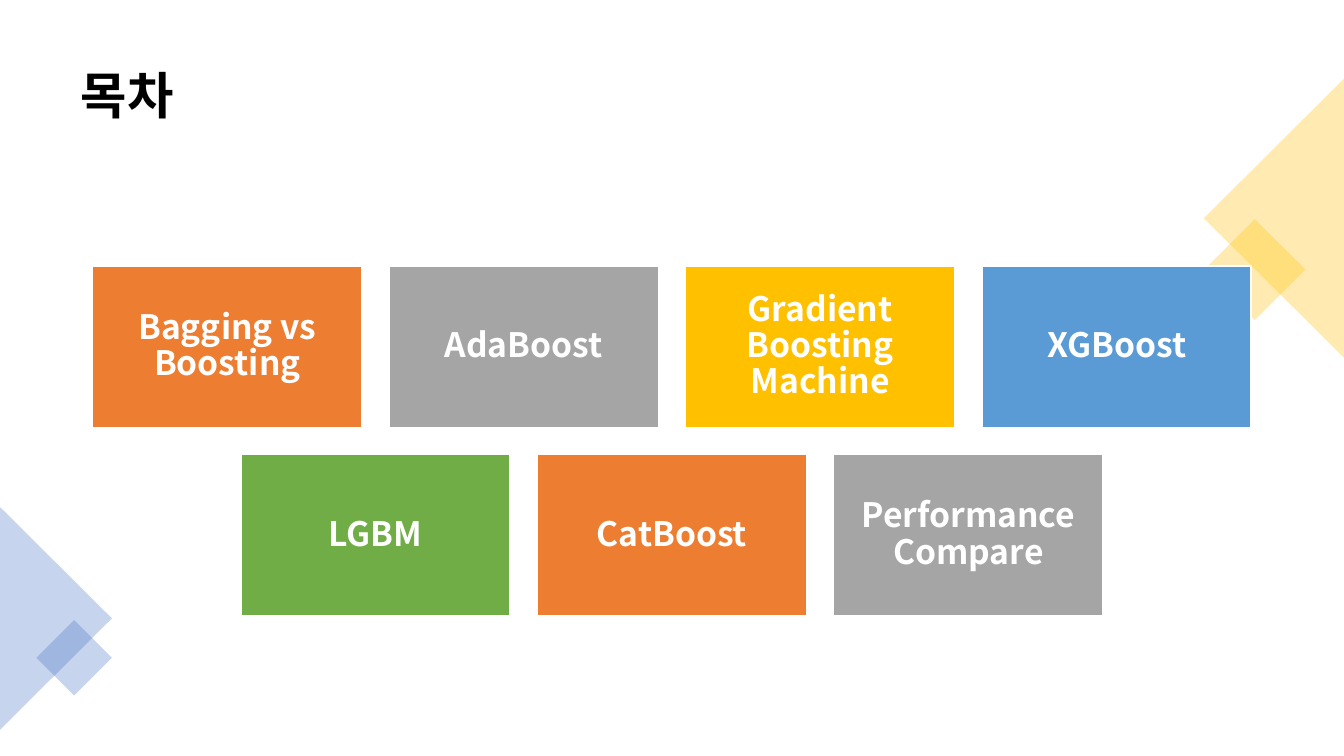
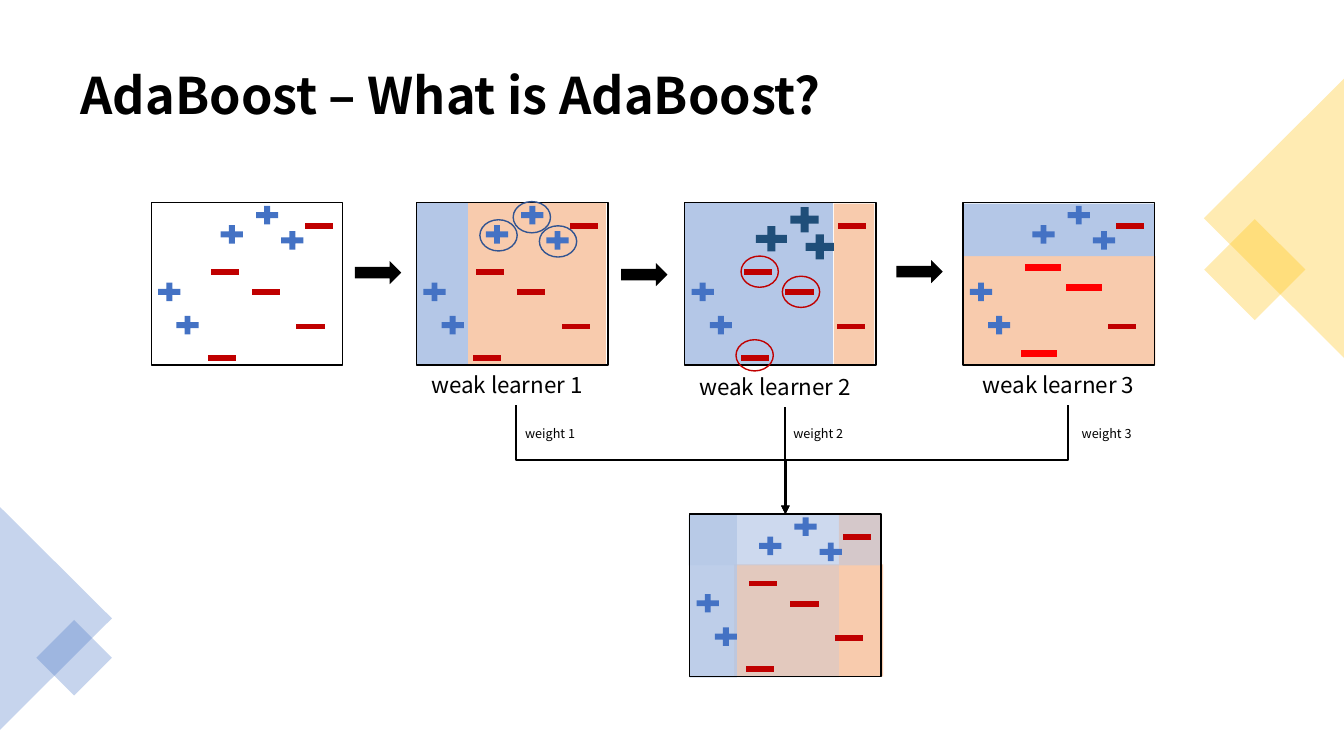
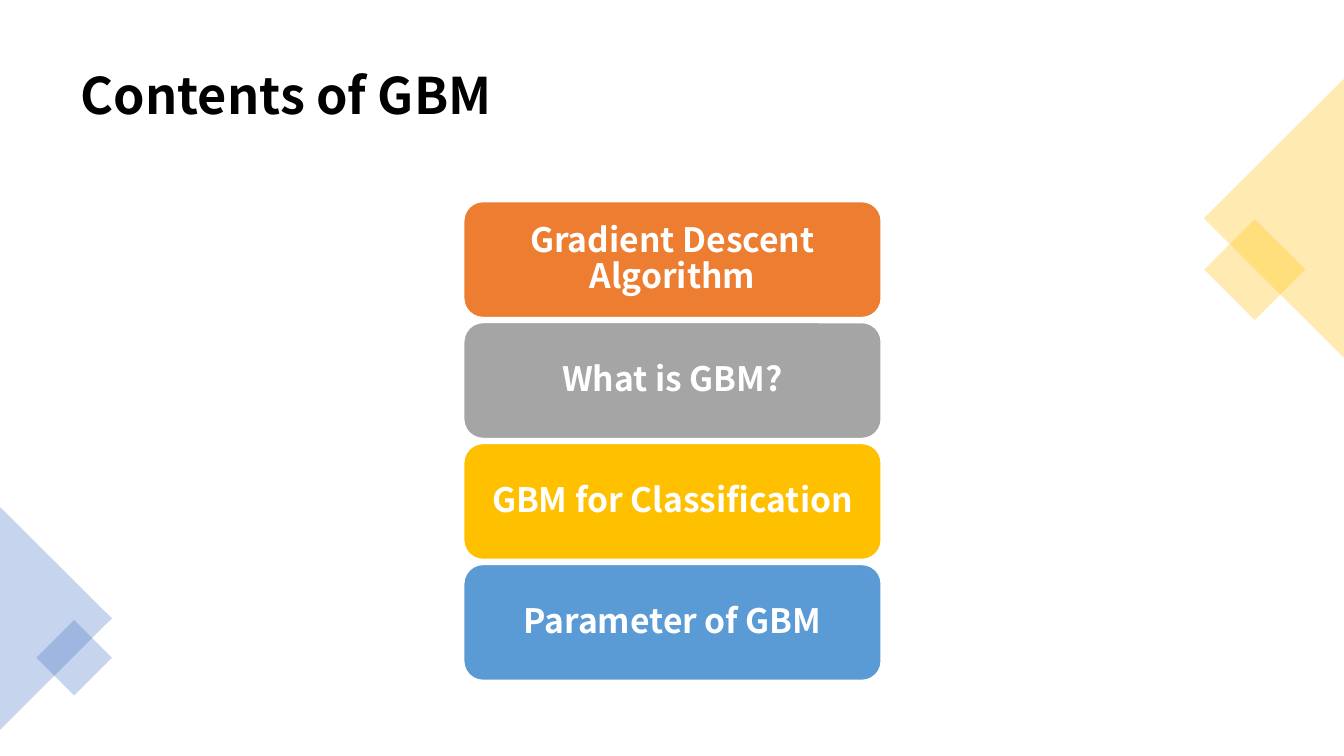
from dataclasses import dataclass
from typing import Optional

import lxml.etree
import pptx
import pptx.dml.color
import pptx.enum.shapes
import pptx.enum.text
import pptx.oxml.ns
import pptx.util

Inches = pptx.util.Inches
Pt = pptx.util.Pt
SHAPES = pptx.enum.shapes.MSO_SHAPE
CONNECTORS = pptx.enum.shapes.MSO_CONNECTOR
ALIGN = pptx.enum.text.PP_ALIGN
ANCHOR = pptx.enum.text.MSO_ANCHOR
qn = pptx.oxml.ns.qn

# Shared look
SLIDE_WIDTH, SLIDE_HEIGHT = 13.33, 7.5
FONT = "Noto Sans CJK KR"
COLORS = {
    "black": "000000", "white": "FFFFFF",
    "orange": "ED7D31", "gray": "A5A5A5", "gold": "FFC000",
    "sky": "5B9BD5", "green": "70AD47",
    "blue": "4472C4", "navy": "1F4E79", "ring blue": "325491",
    "dark red": "C00000", "red": "FF0000",
    "pale blue": "B4C7E7", "pale orange": "F8CBAD",
}
CARD_COLORS = ["orange", "gray", "gold", "sky", "green"]


@dataclass(frozen=True)
class Box:
    left: float
    top: float
    width: float
    height: float

    def moved(self, left: float, top: float) -> "Box":
        return Box(self.left + left, self.top + top, self.width, self.height)


@dataclass(frozen=True)
class Decoration:
    kind: SHAPES
    box: Box
    rotation: float
    color: str


@dataclass(frozen=True)
class Region:
    box: Box
    color: str
    opacity: int = 100


@dataclass(frozen=True)
class Mark:
    kind: SHAPES
    box: Box
    color: str


@dataclass(frozen=True)
class Panel:
    left: float
    top: float
    regions: list[Region]
    marks: list[Mark]
    rings: tuple[tuple[float, float], ...] = ()
    ring_color: str = "dark red"


DECORATIONS = [
    Decoration(SHAPES.RECTANGLE, Box(12.09, 2.32, 0.71, 0.71), 45, "gold"),
    Decoration(SHAPES.ISOSCELES_TRIANGLE, Box(11.25, 1.47, 2.77, 1.39), 270, "gold"),
    Decoration(SHAPES.ISOSCELES_TRIANGLE, Box(-0.55, 5.58, 2.21, 1.11), 90, "blue"),
    Decoration(SHAPES.RECTANGLE, Box(0.47, 6.26, 0.53, 0.53), 45, "blue"),
]


# Drawing helpers
def rgb(color: str) -> pptx.dml.color.RGBColor:
    return pptx.dml.color.RGBColor.from_string(COLORS[color])


def place(box: Box) -> tuple:
    return Inches(box.left), Inches(box.top), Inches(box.width), Inches(box.height)


def add_shape(slide, kind: SHAPES, box: Box, fill: Optional[str] = None,
              line: Optional[str] = None, opacity: int = 100, rotation: float = 0):
    shape = slide.shapes.add_shape(kind, *place(box))
    shape.shadow.inherit = False
    shape.rotation = rotation
    if fill:
        shape.fill.solid()
        shape.fill.fore_color.rgb = rgb(fill)
        if opacity < 100:
            color = next(shape._element.spPr.iter(qn("a:srgbClr")))
            lxml.etree.SubElement(color, qn("a:alpha")).set("val", str(opacity * 1000))
    else:
        shape.fill.background()
    if line:
        shape.line.color.rgb = rgb(line)
        shape.line.width = Pt(1)
    else:
        shape.line.fill.background()
    return shape


def write_text(shape, text: str, size: float, color: str = "black",
               bold: bool = False, align: ALIGN = ALIGN.LEFT) -> None:
    frame = shape.text_frame
    frame.word_wrap = True
    frame.auto_size = pptx.enum.text.MSO_AUTO_SIZE.NONE
    paragraph = frame.paragraphs[0]
    paragraph.text = text
    paragraph.alignment = align
    paragraph.line_spacing = 0.9
    font = paragraph.font
    font.name, font.size, font.bold = FONT, Pt(size), bold
    font.color.rgb = rgb(color)
    # East Asian typeface for the Korean text
    properties = paragraph._p.pPr.find(qn("a:defRPr"))
    lxml.etree.SubElement(properties, qn("a:ea")).set("typeface", FONT)


def add_label(slide, text: str, box: Box, size: float) -> None:
    write_text(slide.shapes.add_textbox(*place(box)), text, size)


def add_card(slide, kind: SHAPES, text: str, box: Box, color: str) -> None:
    card = add_shape(slide, kind, box, color, "white")
    frame = card.text_frame
    frame.margin_left = frame.margin_right = Inches(0.1)
    frame.margin_top = frame.margin_bottom = Inches(0.1)
    frame.vertical_anchor = ANCHOR.MIDDLE
    write_text(card, text, 24, "white", True, ALIGN.CENTER)


def add_arrow(slide, start: tuple[float, float], end: tuple[float, float]) -> None:
    """Arrow going down; it bends halfway when the ends are not aligned."""
    (x1, y1), (x2, y2) = start, end
    bent = x1 != x2
    kind = CONNECTORS.STRAIGHT
    if bent:
        # An elbow leaves sideways, so it is laid out flat and then turned
        kind = CONNECTORS.ELBOW
        middle_x, middle_y = (x1 + x2) / 2, (y1 + y2) / 2
        half_width, half_height = (y2 - y1) / 2, abs(x2 - x1) / 2
        side = -1 if x2 > x1 else 1
        x1, x2 = middle_x + side * -half_width, middle_x + side * half_width
        y1, y2 = middle_y - half_height, middle_y + half_height
    connector = slide.shapes.add_connector(
        kind, Inches(x1), Inches(y1), Inches(x2), Inches(y2))
    connector.line.color.rgb = rgb("black")
    connector.line.width = Pt(1.5)
    properties = connector._element.spPr
    if bent:
        turn = 270 if start[0] < end[0] else 90
        properties.find(qn("a:xfrm")).set("rot", str(turn * 60000))
    tail = lxml.etree.SubElement(properties.find(qn("a:ln")), qn("a:tailEnd"))
    tail.set("type", "triangle")
    lxml.etree.SubElement(properties, qn("a:effectLst"))


def add_slide(presentation, title_text: str):
    slide = presentation.slides.add_slide(presentation.slide_layouts[5])
    title = slide.shapes.title
    title.left, title.top, title.width, title.height = place(Box(0.7, 0.35, 11.93, 1.24))
    title.text_frame.vertical_anchor = ANCHOR.MIDDLE
    write_text(title, title_text, 36, bold=True)
    for item in DECORATIONS:
        add_shape(slide, item.kind, item.box, item.color, opacity=30, rotation=item.rotation)
    return slide


# Scatter panels: places are relative to the panel's corner
PANEL_WIDTH, PANEL_HEIGHT = 1.9, 1.61


def plus(left: float, top: float, width: float = 0.3, height: float = 0.25,
         color: str = "blue") -> Mark:
    return Mark(SHAPES.MATH_PLUS, Box(left, top, width, height), color)


def minus(left: float, top: float, width: float = 0.38, height: float = 0.24,
          color: str = "dark red") -> Mark:
    return Mark(SHAPES.MATH_MINUS, Box(left, top, width, height), color)


TOP_PLUSES = [plus(1, 0), plus(1.25, 0.25), plus(0.65, 0.19)]
LEFT_PLUSES = [plus(0.21, 1.09), plus(0.03, 0.76)]
RIGHT_MINUSES = [minus(1.47, 0.11), minus(1.39, 1.11)]
INNER_MINUSES = [minus(0.51, 1.42), minus(0.95, 0.77), minus(0.54, 0.57)]
PLAIN_MARKS = TOP_PLUSES + LEFT_PLUSES + RIGHT_MINUSES + INNER_MINUSES

HEAVY_PLUSES = [plus(1, 0, 0.38, 0.34, "navy"), plus(1.15, 0.27, 0.38, 0.34, "navy"),
                plus(0.65, 0.19, 0.42, 0.34, "navy")]
HEAVY_MINUSES = [minus(left, top, 0.49, 0.31, "red")
                 for left, top in [(0.51, 1.34), (0.96, 0.69), (0.55, 0.49)]]

PANELS = [
    Panel(1.5, 2.01, [], PLAIN_MARKS),
    Panel(4.13, 2.01,
          [Region(Box(0.5, 0, 1.38, 1.61), "pale orange"),
           Region(Box(0, 0, 0.51, 1.61), "pale blue")],
          PLAIN_MARKS, ((0.63, 0.17), (0.96, -0.01), (1.22, 0.23)), "ring blue"),
    Panel(6.79, 2.01,
          [Region(Box(1.48, 0.01, 0.4, 1.61), "pale orange"),
           Region(Box(0, 0, 1.47, 1.61), "pale blue")],
          HEAVY_PLUSES + LEFT_PLUSES + [minus(1.47, 0.11), minus(1.46, 1.11)] + INNER_MINUSES,
          ((0.97, 0.73), (0.56, 0.53), (0.51, 1.36))),
    Panel(9.55, 2.01,
          [Region(Box(0.01, 0.53, 1.9, 1.08), "pale orange"),
           Region(Box(0.01, 0.01, 1.89, 0.52), "pale blue")],
          TOP_PLUSES + LEFT_PLUSES + RIGHT_MINUSES + HEAVY_MINUSES),
    Panel(6.84, 5.1,
          [Region(Box(1.48, -0.01, 0.42, 1.62), "pale orange"),
           Region(Box(0.44, 0.5, 1.48, 1.11), "pale orange"),
           Region(Box(0, 0.01, 0.47, 1.61), "pale blue", 80),
           Region(Box(-0.01, 0.01, 1.9, 0.5), "pale blue", 50),
           Region(Box(0, 0.01, 1.48, 1.61), "pale blue", 30)],
          PLAIN_MARKS),
]


def add_panel(slide, panel: Panel) -> None:
    corner = (panel.left, panel.top)
    for region in panel.regions:
        add_shape(slide, SHAPES.RECTANGLE, region.box.moved(*corner), region.color,
                  opacity=region.opacity)
    add_shape(slide, SHAPES.RECTANGLE, Box(*corner, PANEL_WIDTH, PANEL_HEIGHT), line="black")
    for mark in panel.marks:
        add_shape(slide, mark.kind, mark.box.moved(*corner), mark.color)
    for left, top in panel.rings:
        add_shape(slide, SHAPES.OVAL, Box(left, top, 0.37, 0.31).moved(*corner),
                  line=panel.ring_color)


# Slides
def build_agenda(presentation) -> None:
    slide = add_slide(presentation, "목차")
    rows = [
        ["Bagging vs Boosting", "AdaBoost", "Gradient Boosting Machine", "XGBoost"],
        ["LGBM", "CatBoost", "Performance Compare"],
    ]
    width, height, gap = 2.67, 1.6, 0.27
    count = 0
    for row, topics in enumerate(rows):
        row_width = len(topics) * (width + gap) - gap
        left = (SLIDE_WIDTH - row_width) / 2
        for column, topic in enumerate(topics):
            box = Box(left + column * (width + gap), 2.64 + row * (height + gap), width, height)
            add_card(slide, SHAPES.RECTANGLE, topic, box, CARD_COLORS[count % len(CARD_COLORS)])
            count += 1


def build_adaboost(presentation) -> None:
    slide = add_slide(presentation, "AdaBoost – What is AdaBoost?")
    for panel in PANELS:
        add_panel(slide, panel)
    for left, top in [(3.52, 2.59), (6.16, 2.61), (8.89, 2.58)]:
        add_shape(slide, SHAPES.RIGHT_ARROW, Box(left, top, 0.46, 0.23), "black")

    # Learners and their weights, joined into the final panel
    target = (7.79, 5.1)
    learners = [(4.18, 3.66, 5.12, 5.11), (6.84, 3.68, 7.79, 7.77), (9.65, 3.66, 10.59, 10.63)]
    for number, (left, top, arrow_x, weight_left) in enumerate(learners, 1):
        add_label(slide, f"weak learner {number}", Box(left, top, 1.9, 0.36), 16)
        add_arrow(slide, (arrow_x, top + 0.36), target)
        add_label(slide, f"weight {number}", Box(weight_left, 4.19, 1.21, 0.27), 9)


def build_gbm_contents(presentation) -> None:
    slide = add_slide(presentation, "Contents of GBM")
    topics = ["Gradient Descent Algorithm", "What is GBM?",
              "GBM for Classification", "Parameter of GBM"]
    for row, (topic, color) in enumerate(zip(topics, CARD_COLORS)):
        add_card(slide, SHAPES.ROUNDED_RECTANGLE, topic,
                 Box(4.6, 2 + row * 1.2, 4.14, 1.15), color)


def main() -> None:
    presentation = pptx.Presentation()
    presentation.slide_width = Inches(SLIDE_WIDTH)
    presentation.slide_height = Inches(SLIDE_HEIGHT)
    build_agenda(presentation)
    build_adaboost(presentation)
    build_gbm_contents(presentation)
    presentation.save("out.pptx")


if __name__ == "__main__":
    main()
